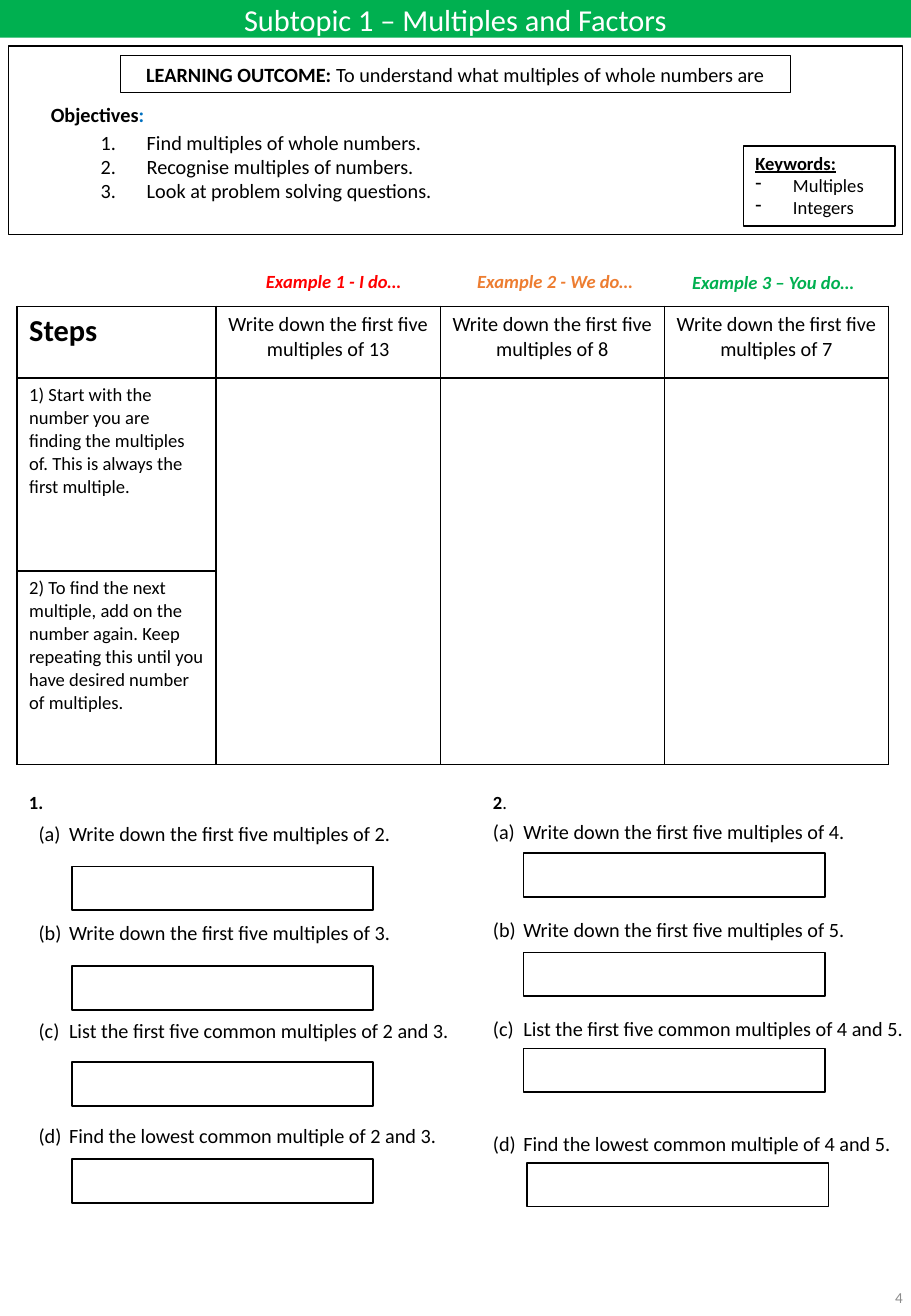
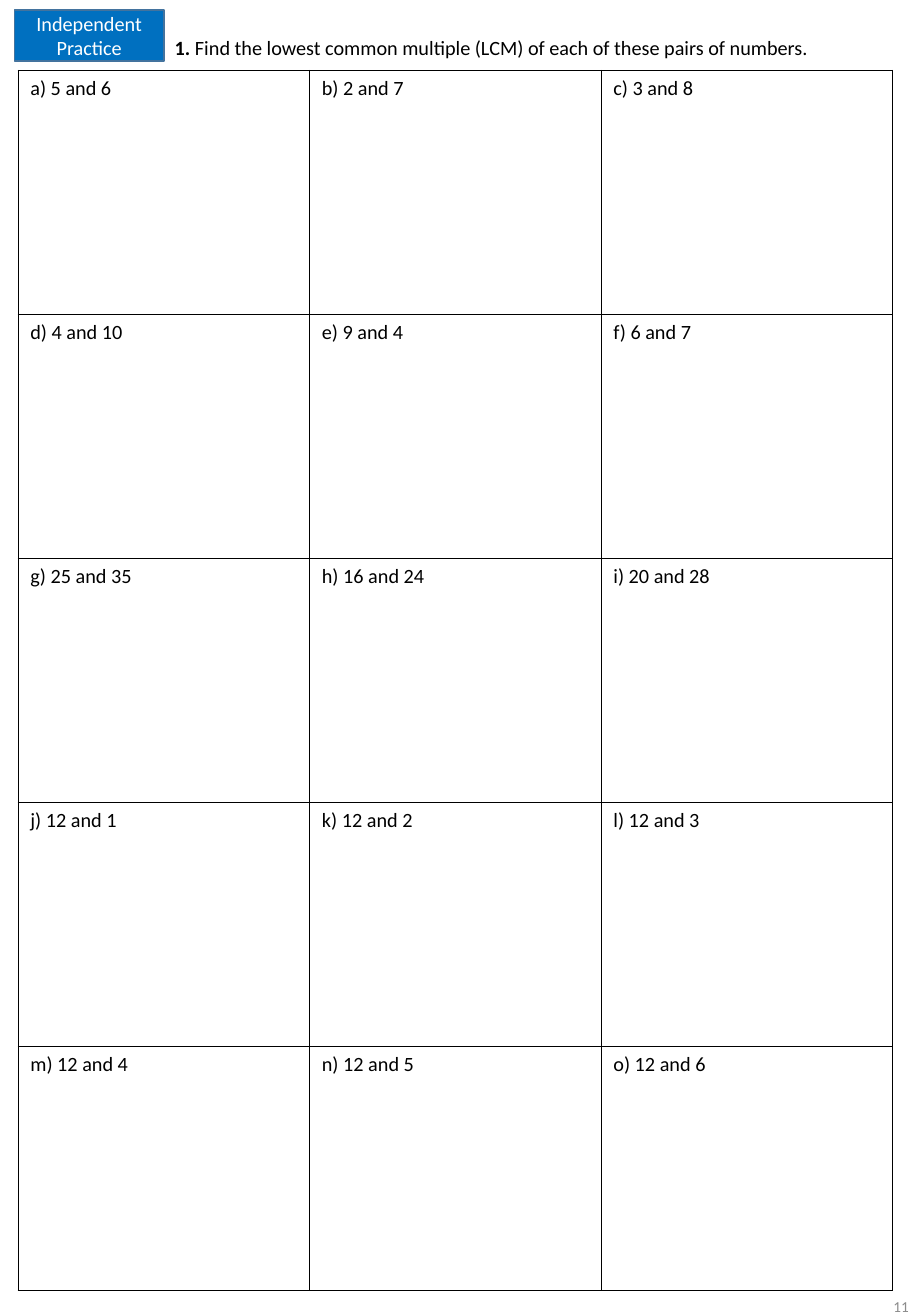
from dataclasses import dataclass, field
from typing import Any

from lxml import etree
from pptx import Presentation
from pptx.dml.color import RGBColor
from pptx.enum.shapes import MSO_SHAPE
from pptx.enum.text import MSO_ANCHOR, PP_ALIGN
from pptx.oxml.ns import qn
from pptx.util import Inches, Pt

LEFT, CENTER, RIGHT = PP_ALIGN.LEFT, PP_ALIGN.CENTER, PP_ALIGN.RIGHT
TOP, MIDDLE = MSO_ANCHOR.TOP, MSO_ANCHOR.MIDDLE
RECTANGLE = MSO_SHAPE.RECTANGLE

FONT = "Calibri"
BLACK, WHITE, GREY = "000000", "FFFFFF", "8C8C8C"
GREEN, BLUE, BLUE_EDGE = "00B050", "0070C0", "43739E"
RED, ORANGE = "FF0000", "ED7D31"


@dataclass(frozen=True)
class Area:
    left: float
    top: float
    width: float
    height: float

    def lengths(self) -> list[int]:
        return [Inches(n) for n in (self.left, self.top, self.width, self.height)]


@dataclass(frozen=True)
class Span:
    text: str
    size: float = 12
    color: str = BLACK
    bold: bool = False
    italic: bool = False
    underline: bool = False


@dataclass(frozen=True)
class Para:
    spans: list[Span] = field(default_factory=list)
    align: Any = LEFT
    before: float = 0
    indent: float = 0
    bullet: str = ""
    numbering: str = ""


@dataclass(frozen=True)
class Exercise:
    label: list[Span]
    label_left: float
    first: int
    second: int
    text_area: Area
    last_gap: float
    answers: list[tuple[float, float]]


@dataclass(frozen=True)
class Example:
    heading: str
    color: str
    area: Area
    number: int


EXERCISES = [
    Exercise([Span("1.", 11, bold=True)], 0.14, 2, 3, Area(0.22, 6.71, 3.7, 2.78), 47.6,
             [(0.59, 7.13), (0.59, 7.95), (0.59, 8.74), (0.59, 9.54)]),
    Exercise([Span("2", 11, bold=True), Span(".", 11)], 3.96, 4, 5,
             Area(3.96, 6.69, 3.79, 2.86), 53.7,
             [(4.31, 7.02), (4.31, 7.84), (4.31, 8.63), (4.34, 9.57)]),
]

EXAMPLES = [
    Example("Example 1 - I do…", RED, Area(2.09, 2.17, 1.33, 0.29), 13),
    Example("Example 2 - We do…", ORANGE, Area(3.83, 2.17, 1.5, 0.29), 8),
    Example("Example 3 – You do…", GREEN, Area(5.6, 2.18, 1.56, 0.29), 7),
]

STEPS = [
    "1) Start with the number you are finding the multiples of. "
    "This is always the first multiple.",
    "2) To find the next multiple, add on the number again. "
    "Keep repeating this until you have desired number of multiples.",
]

PAIRS = [(5, 6), (2, 7), (3, 8), (4, 10), (9, 4), (6, 7), (25, 35), (16, 24),
         (20, 28), (12, 1), (12, 2), (12, 3), (12, 4), (12, 5), (12, 6)]


def rgb(color: str) -> RGBColor:
    return RGBColor.from_string(color)


def write(frame: Any, paras: list[Para]) -> None:
    for index, para in enumerate(paras):
        paragraph = frame.paragraphs[0] if index == 0 else frame.add_paragraph()
        paragraph.alignment = para.align
        if para.before:
            paragraph.space_before = Pt(para.before)
        if para.indent:
            properties = paragraph._p.get_or_add_pPr()
            properties.set("marL", str(Inches(para.indent)))
            properties.set("indent", str(-Inches(para.indent)))
            if para.numbering:
                etree.SubElement(properties, qn("a:buAutoNum"), type=para.numbering)
            elif para.bullet:
                etree.SubElement(properties, qn("a:buChar"), char=para.bullet)
        for span in para.spans:
            run = paragraph.add_run()
            run.text = span.text
            run.font.name = FONT
            run.font.size = Pt(span.size)
            run.font.bold = span.bold
            run.font.italic = span.italic
            run.font.underline = span.underline
            run.font.color.rgb = rgb(span.color)


def add_text(page: Any, area: Area, paras: list[Para], anchor: Any = TOP,
             wrap: bool = True) -> None:
    frame = page.shapes.add_textbox(*area.lengths()).text_frame
    frame.word_wrap = wrap
    frame.vertical_anchor = anchor
    write(frame, paras)


def add_box(shapes: Any, area: Area, paras: list[Para], fill: str = "",
            line: str = BLACK, weight: float = 1, anchor: Any = TOP) -> None:
    box = shapes.add_shape(RECTANGLE, *area.lengths())
    box.shadow.inherit = False
    if fill:
        box.fill.solid()
        box.fill.fore_color.rgb = rgb(fill)
    else:
        box.fill.background()
    if line:
        box.line.color.rgb = rgb(line)
        box.line.width = Pt(weight)
    else:
        box.line.fill.background()
    box.text_frame.vertical_anchor = anchor
    write(box.text_frame, paras)


def add_borders(cell: Any) -> None:
    properties = cell._tc.get_or_add_tcPr()
    for index, side in enumerate(("a:lnL", "a:lnR", "a:lnT", "a:lnB")):
        line = etree.Element(qn(side), w=str(Pt(1)))
        fill = etree.SubElement(line, qn("a:solidFill"))
        etree.SubElement(fill, qn("a:srgbClr"), val=BLACK)
        properties.insert(index, line)


def add_grid(page: Any, left: float, top: float, widths: list[float],
             heights: list[float], cells: list[list[Para]]) -> Any:
    area = Area(left, top, sum(widths), sum(heights))
    table = page.shapes.add_table(len(heights), len(widths), *area.lengths()).table
    table.first_row = False
    table.horz_banding = False
    for column, width in zip(table.columns, widths):
        column.width = Inches(width)
    for row, height, paras in zip(table.rows, heights, cells):
        row.height = Inches(height)
        for cell, para in zip(row.cells, paras):
            cell.fill.background()
            add_borders(cell)
            write(cell.text_frame, [para])
    return table


def add_page_number(page: Any, left: float, top: float, number: int) -> None:
    para = Para([Span(str(number), 9, GREY)], RIGHT)
    add_text(page, Area(left, top, 1.69, 0.58), [para], MIDDLE)


def add_exercise(page: Any, exercise: Exercise) -> None:
    first, second = exercise.first, exercise.second
    questions = [
        f"Write down the first five multiples of {first}.",
        f"Write down the first five multiples of {second}.",
        f"List the first five common multiples of {first} and {second}.",
        f"Find the lowest common multiple of {first} and {second}.",
    ]
    gaps = [0, 44, 44, exercise.last_gap]
    add_text(page, Area(exercise.label_left, 6.46, 0.58, 0.29), [Para(exercise.label)])
    add_text(page, exercise.text_area, [
        Para([Span(question)], before=gap, indent=0.25, numbering="alphaLcParenBoth")
        for question, gap in zip(questions, gaps)])
    answers = page.shapes.add_group_shape()
    for left, top in exercise.answers:
        add_box(answers.shapes, Area(left, top, 2.48, 0.36), [])


def add_lesson(page: Any) -> None:
    add_box(page.shapes, Area(0.07, 0.38, 7.36, 1.55), [])
    add_box(page.shapes, Area(0, 0, 7.5, 0.31),
            [Para([Span("Subtopic 1 – Multiples and Factors", 18, WHITE)], CENTER)],
            fill=GREEN, line="", anchor=MIDDLE)
    add_box(page.shapes, Area(0.99, 0.46, 5.52, 0.3), [Para([
        Span("LEARNING OUTCOME:", bold=True),
        Span(" To understand what multiples of whole numbers are")], CENTER)], weight=0.75)
    add_text(page, Area(0.32, 0.79, 1.26, 0.3), [Para([
        Span("Objectives", bold=True), Span(":", color=BLUE, bold=True)])])
    objectives = ["Find multiples of whole numbers.", "Recognise multiples of numbers.",
                  "Look at problem solving questions."]
    add_text(page, Area(0.73, 1.02, 5.53, 0.71), [
        Para([Span(text)], indent=0.38, numbering="arabicPeriod") for text in objectives])
    keywords = [Para([Span(word, 11)], indent=0.31, bullet="-")
                for word in ("Multiples", "Integers")]
    heading = Para([Span("Keywords:", 11, bold=True, underline=True)])
    add_box(page.shapes, Area(6.12, 1.2, 1.25, 0.66), [heading, *keywords])

    for example in EXAMPLES:
        span = Span(example.heading, 11, example.color, bold=True, italic=True)
        add_text(page, example.area, [Para([span])], wrap=False)
    tasks = [Para([Span(f"Write down the first five multiples of {example.number}")], CENTER)
             for example in EXAMPLES]
    step_rows = [[Para([Span(step, 11)])] + [Para()] * len(EXAMPLES) for step in STEPS]
    table = add_grid(page, 0.14, 2.52, [1.64] + [1.845] * 3, [0.59, 1.59, 1.59],
                     [[Para([Span("Steps", 18, bold=True)]), *tasks], *step_rows])
    for column in range(1, len(EXAMPLES) + 1):
        table.cell(1, column).merge(table.cell(2, column))

    for exercise in EXERCISES:
        add_exercise(page, exercise)
    add_page_number(page, 5.84, 10.39, 4)


def add_practice(page: Any) -> None:
    add_text(page, Area(1.34, 0.24, 5.52, 0.3), [Para([
        Span("1. ", bold=True),
        Span("Find the lowest common multiple (LCM) of each of these pairs of numbers.")])],
        wrap=False)
    cells = [Para([Span(f"{letter}) {first} and {second}")])
             for letter, (first, second) in zip("abcdefghijklmno", PAIRS)]
    rows = [cells[start:start + 3] for start in range(0, len(cells), 3)]
    add_grid(page, 0.15, 0.58, [2.4] * 3, [10.04 / 5] * 5, rows)
    add_box(page.shapes, Area(0.12, 0.08, 1.23, 0.42),
            [Para([Span("Independent Practice", color=WHITE)], CENTER)],
            fill=BLUE, line=BLUE_EDGE, anchor=MIDDLE)
    add_page_number(page, 5.89, 10.46, 11)


def main() -> None:
    deck = Presentation()
    deck.slide_width, deck.slide_height = Inches(7.5), Inches(10.83)
    for build in (add_lesson, add_practice):
        build(deck.slides.add_slide(deck.slide_layouts[6]))
    deck.save("out.pptx")


if __name__ == "__main__":
    main()
